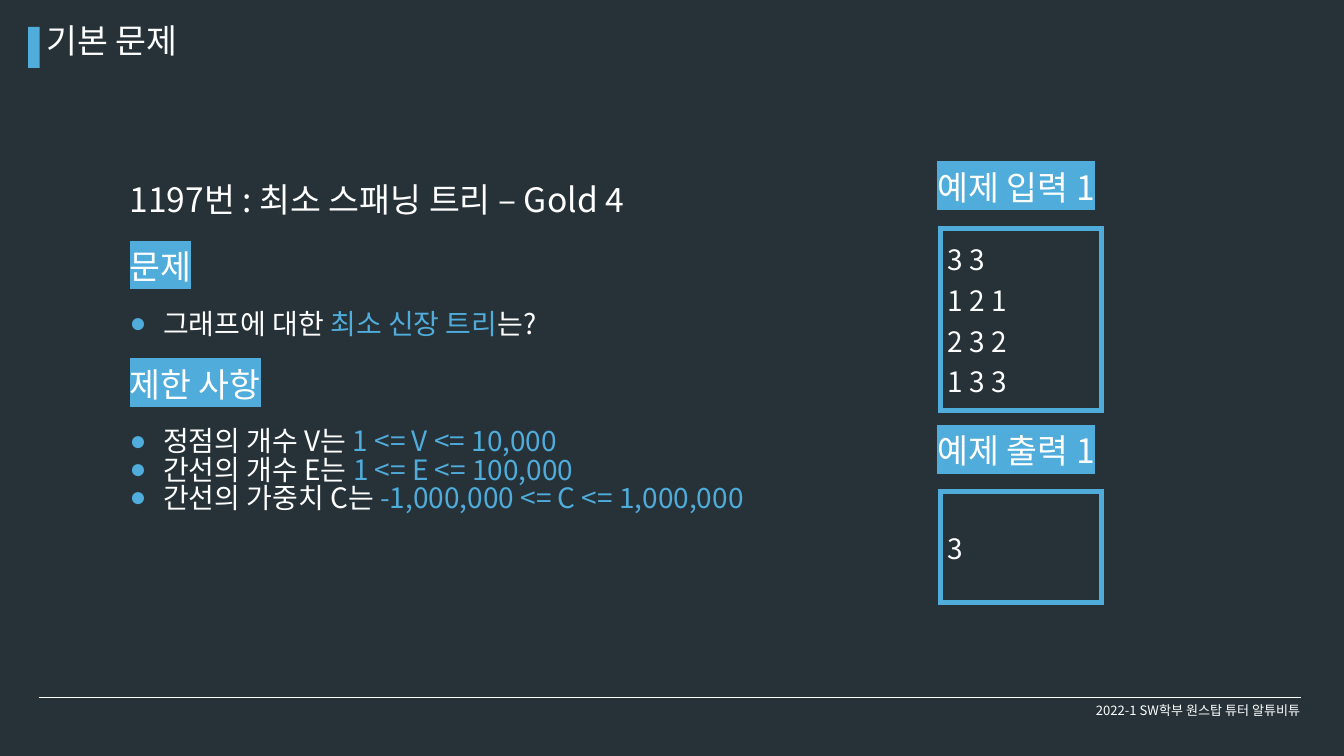
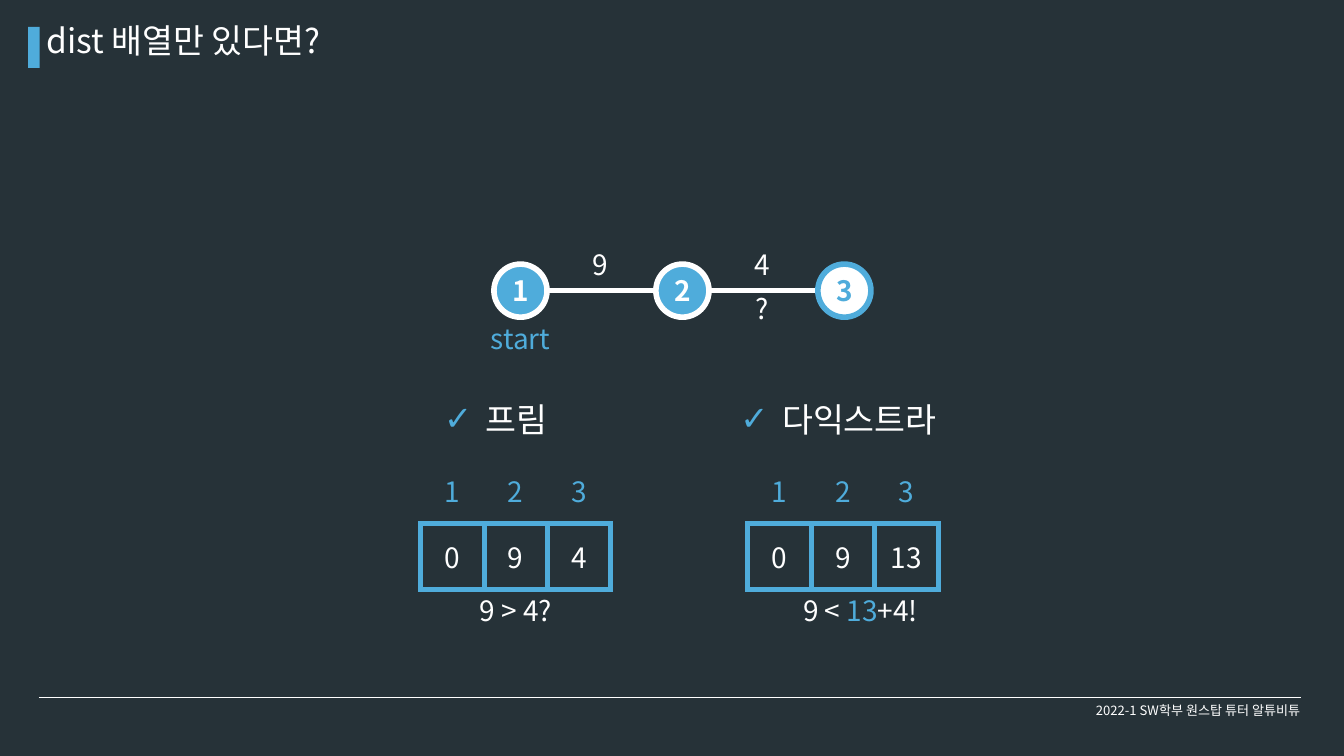
from lxml import etree
from pptx import Presentation
from pptx.dml.color import RGBColor
from pptx.enum.shapes import MSO_CONNECTOR, MSO_SHAPE
from pptx.enum.text import MSO_ANCHOR, PP_ALIGN
from pptx.oxml.ns import qn
from pptx.util import Inches, Pt

STRAIGHT = MSO_CONNECTOR.STRAIGHT
RECTANGLE, OVAL = MSO_SHAPE.RECTANGLE, MSO_SHAPE.OVAL
TOP, MIDDLE = MSO_ANCHOR.TOP, MSO_ANCHOR.MIDDLE
LEFT, CENTER = PP_ALIGN.LEFT, PP_ALIGN.CENTER

COLORS = {"background": "263238", "accent": "4FACDB", "white": "FFFFFF"}
FONT = "Noto Sans CJK KR"
HEADING, BODY, SMALL = 36, 30, 14
TIGHT = 0.84
HEADING_HEIGHT, BODY_HEIGHT = 0.71, 0.61
FOOTER = "2022-1 SW학부 원스탑 튜터 알튜비튜"


def rgb(name):
    return RGBColor.from_string(COLORS[name])


def add_color(parent, name):
    fill = etree.SubElement(parent, qn("a:solidFill"))
    etree.SubElement(fill, qn("a:srgbClr"), val=COLORS[name])


def format_run(run, size, color, bold=False, highlight=None):
    run.font.size = Pt(size)
    run.font.bold = bold
    run.font.color.rgb = rgb(color)
    properties = run.font._element
    if highlight:
        mark = etree.SubElement(properties, qn("a:highlight"))
        etree.SubElement(mark, qn("a:srgbClr"), val=COLORS[highlight])
    run.font.name = FONT
    etree.SubElement(properties, qn("a:ea"), typeface=FONT)


def add_bullet(paragraph, symbol, indent):
    properties = paragraph._p.get_or_add_pPr()
    properties.set("marL", str(Inches(indent)))
    properties.set("indent", str(-Inches(indent)))
    color = etree.SubElement(properties, qn("a:buClr"))
    etree.SubElement(color, qn("a:srgbClr"), val=COLORS["accent"])
    etree.SubElement(properties, qn("a:buFont"), typeface="Arial")
    etree.SubElement(properties, qn("a:buChar"), char=symbol)


def write(text_frame, lines, size, color="white", align=LEFT, spacing=None,
          bullet=None, bold=False, highlight=None):
    for index, line in enumerate(lines):
        paragraph = text_frame.paragraphs[0] if index == 0 else text_frame.add_paragraph()
        paragraph.alignment = align
        if spacing:
            paragraph.line_spacing = spacing
        if bullet:
            add_bullet(paragraph, *bullet)
        spans = [(line, color)] if isinstance(line, str) else line
        for text, span_color in spans:
            run = paragraph.add_run()
            run.text = text
            format_run(run, size, span_color, bold, highlight)


def add_text(slide, box, lines, size, wrap=True, anchor=TOP, **style):
    text_frame = slide.shapes.add_textbox(*map(Inches, box)).text_frame
    text_frame.word_wrap = wrap
    text_frame.vertical_anchor = anchor
    write(text_frame, lines, size, spacing=TIGHT, **style)


def add_heading(slide, left, top, text, width=3.58, **style):
    add_text(slide, (left, top, width, HEADING_HEIGHT), [text], HEADING, **style)


def add_line(slide, start, end, width):
    line = slide.shapes.add_connector(STRAIGHT, *map(Inches, (*start, *end)))
    line.line.color.rgb = rgb("white")
    line.line.width = Pt(width)
    etree.SubElement(line._element.spPr, qn("a:effectLst"))


def add_shape(slide, kind, box, fill, outline=None):
    shape = slide.shapes.add_shape(kind, *map(Inches, box))
    shape.shadow.inherit = False
    shape.fill.solid()
    shape.fill.fore_color.rgb = rgb(fill)
    if outline:
        shape.line.color.rgb = rgb(outline)
        shape.line.width = Pt(6)
    else:
        shape.line.fill.background()
    return shape


def set_borders(cell, color):
    properties = cell._tc.get_or_add_tcPr()
    for position, side in enumerate(("lnL", "lnR", "lnT", "lnB")):
        border = etree.Element(qn(f"a:{side}"), w=str(Pt(6) if color else 0))
        if color:
            add_color(border, color)
        else:
            etree.SubElement(border, qn("a:noFill"))
        properties.insert(position, border)


def add_row_table(slide, box, cells, color="white", align=CENTER, border=None):
    table = slide.shapes.add_table(1, len(cells), *map(Inches, box)).table
    table.first_row = table.horz_banding = False
    for cell, lines in zip(table.iter_cells(), cells):
        cell.fill.background()
        cell.vertical_anchor = MIDDLE
        write(cell.text_frame, lines, BODY, color, align)
        set_borders(cell, border)


def add_base_slide(presentation, title):
    slide = presentation.slides.add_slide(presentation.slide_layouts[6])
    slide.background.fill.solid()
    slide.background.fill.fore_color.rgb = rgb("background")
    add_line(slide, (0.58, 10.38), (19.36, 10.38), 0.75)
    add_shape(slide, RECTANGLE, (0.42, 0.4, 0.17, 0.61), "accent")
    add_text(slide, (15.83, 10.31, 4, 0.57), [FOOTER], SMALL, anchor=MIDDLE, align=CENTER)
    add_heading(slide, 0.59, 0.35, title, 9.5)
    return slide


def add_statement(slide, left, top):
    add_heading(slide, left, top, "1197번 : 최소 스패닝 트리 – Gold 4", 9.5)
    sections = [
        (1, "문제", [[("그래프에 대한 ", "white"), ("최소 신장 트리", "accent"),
                     ("는?", "white")]]),
        (2.75, "제한 사항", [
            [("정점의 개수 V는 ", "white"), ("1 <= V <= 10,000", "accent")],
            [("간선의 개수 E는 ", "white"), ("1 <= E <= 100,000", "accent")],
            [("간선의 가중치 C는 ", "white"),
             ("-1,000,000 <= C <= 1,000,000", "accent")],
        ]),
    ]
    for offset, heading, items in sections:
        add_heading(slide, left, top + offset, heading, highlight="accent")
        height = 0.1 + 0.51 * len(items)
        add_text(slide, (left, top + offset + 0.88, 15.42, height), items, BODY,
                 bullet=("●", 0.5))


def add_example(slide, left, top, height, heading, lines):
    add_heading(slide, left, top, heading, highlight="accent")
    add_row_table(slide, (left + 0.15, top + 0.87, 2.39, height), [lines],
                  align=LEFT, border="accent")


def add_graph(slide, left, top):
    diameter, pitch = 0.79, 2.41
    middle = top + diameter / 2
    nodes = [("1", "accent", "white"), ("2", "accent", "white"), ("3", "white", "accent")]
    for index, weight in enumerate("94"):
        start = left + index * pitch + diameter
        end = left + (index + 1) * pitch
        add_line(slide, (start, middle), (end, middle), 6)
        add_text(slide, ((start + end) / 2 - 0.23, top - 0.21, 0.46, BODY_HEIGHT),
                 [weight], BODY, wrap=False)
    for index, (label, fill, ink) in enumerate(nodes):
        box = (left + index * pitch, top, diameter, diameter)
        node = add_shape(slide, OVAL, box, fill, ink)
        frame = node.text_frame
        frame.margin_left = frame.margin_right = 0
        frame.vertical_anchor = MIDDLE
        write(frame, [label], BODY, ink, CENTER, bold=True)
    add_text(slide, (left - 0.55, top + 0.88, 1.89, BODY_HEIGHT), ["start"], BODY,
             color="accent", align=CENTER)
    add_text(slide, (left + 3.79, top + 0.44, 0.43, BODY_HEIGHT), ["?"], BODY, wrap=False)


def add_distance_panel(slide, left, top, heading, heading_shift, distances,
                       comparison, comparison_shift):
    width, row_height = 2.83, 0.98
    add_heading(slide, left + heading_shift, top, heading, bullet=("✓", 0.62))
    add_row_table(slide, (left, top + 0.83, width, row_height), "123", "accent")
    add_row_table(slide, (left, top + 0.83 + row_height, width, row_height),
                  [[distance] for distance in distances], border="accent")
    add_text(slide, (left + comparison_shift, top + 2.88, width, BODY_HEIGHT),
             [comparison], BODY, align=CENTER)


def add_problem_slide(presentation):
    slide = add_base_slide(presentation, "기본 문제")
    add_statement(slide, 1.83, 2.71)
    add_example(slide, 13.85, 2.53, 2.71, "예제 입력 1", ["3 3", "1 2 1", "2 3 2", "1 3 3"])
    add_example(slide, 13.85, 6.45, 1.64, "예제 출력 1", ["3"])


def add_distance_slide(presentation):
    slide = add_base_slide(presentation, "dist 배열만 있다면?")
    add_graph(slide, 7.35, 3.93)
    add_distance_panel(slide, 6.26, 5.98, "프림", 0.25, ["0", "9", "4"], "9 > 4?", 0)
    add_distance_panel(slide, 11.13, 5.98, "다익스트라", -0.21, ["0", "9", "13"],
                       [("9 < ", "white"), ("13", "accent"), ("+4!", "white")], 0.26)


def main():
    presentation = Presentation()
    presentation.slide_width = Inches(20)
    presentation.slide_height = Inches(11.25)
    add_problem_slide(presentation)
    add_distance_slide(presentation)
    presentation.save("out.pptx")


if __name__ == "__main__":
    main()
